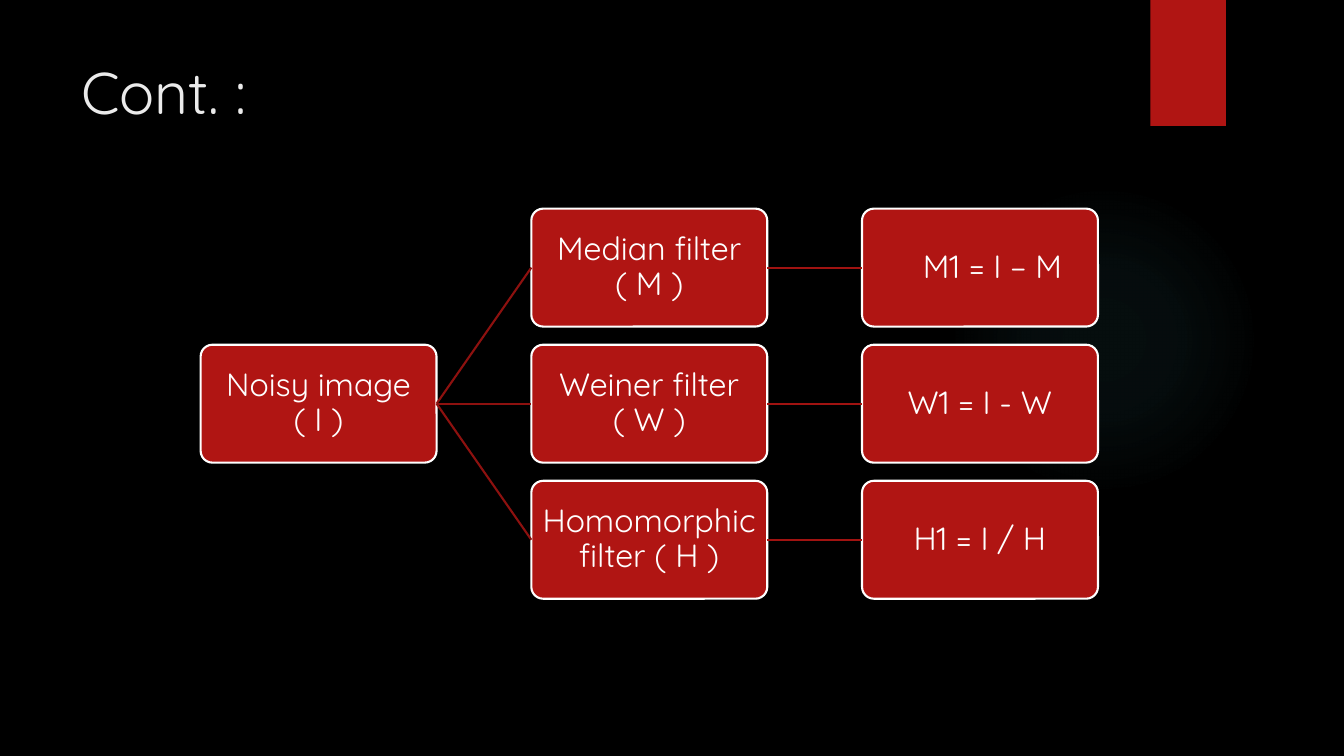
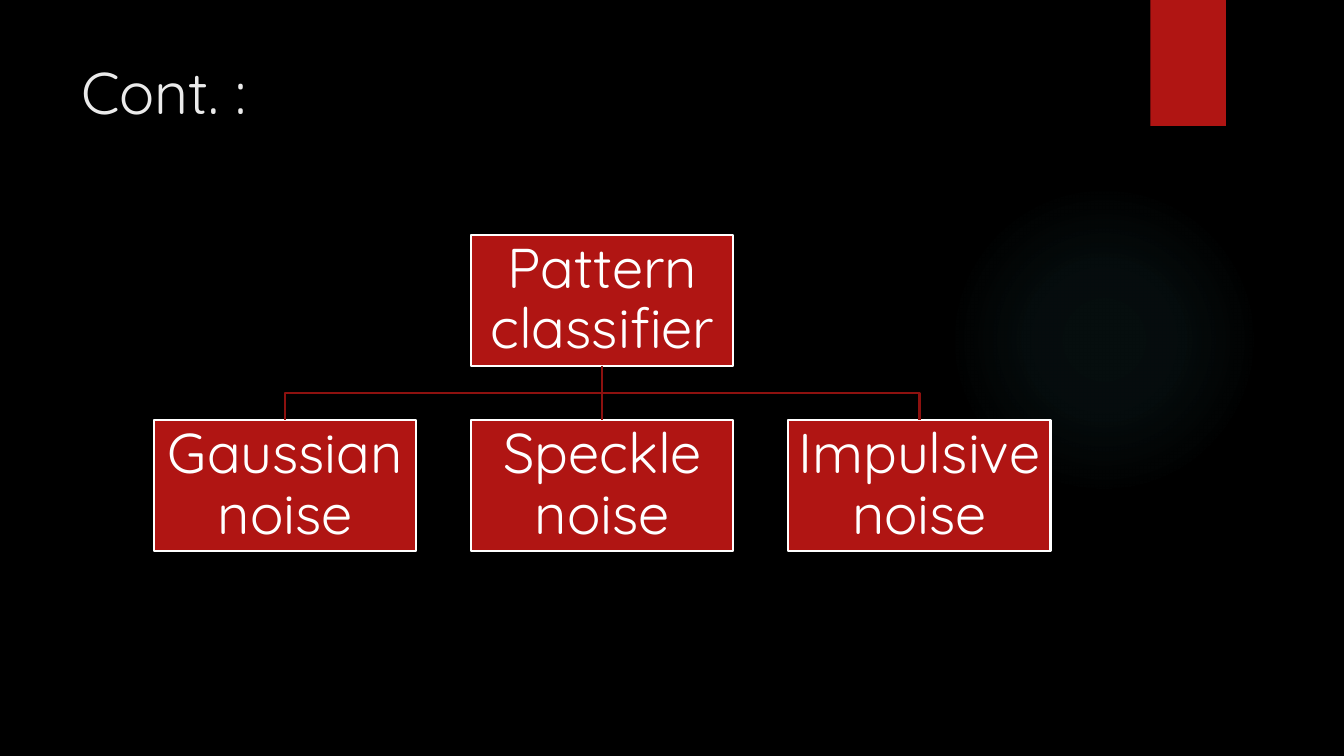
from lxml import etree
from pptx import Presentation
from pptx import util as u
from pptx.dml.color import RGBColor
from pptx.enum import shapes, text
from pptx.oxml import parse_xml
from pptx.oxml.ns import nsdecls, qn

BLACK = RGBColor(0x00, 0x00, 0x00)
RED = RGBColor(0xB0, 0x15, 0x13)
DARK_RED = RGBColor(0x8D, 0x11, 0x0F)
MID_RED = RGBColor(0xA0, 0x13, 0x11)
WHITE = RGBColor(0xFF, 0xFF, 0xFF)
TITLE_GREY = RGBColor(0xEB, 0xEB, 0xEB)
GLOW = RGBColor(0x50, 0xB9, 0xC1)
GLOW_STOPS = ((0, 7), (36, 6), (69, 0))
FONT = "Quicksand"
LINE_WIDTH = u.Pt(1.5)

FILTERS = (
    (("Median filter", 12, "( M )"), "M1 = I – M", 0.25),
    (("Weiner filter", 22, "( W )"), "W1 = I - W", 0),
    (("Homomorphic filter ( H )",), "H1 = I / H", 0),
)
NOISES = ("Gaussian noise", "Speckle noise", "Impulsive noise")


def add_run(paragraph, words, size, color, spacing=0):
    """Append one styled run, with optional letter spacing in points."""
    run = paragraph.add_run()
    run.text = words
    run.font.name = FONT
    run.font.size = u.Pt(size)
    run.font.color.rgb = color
    if spacing:
        run.font._element.set("spc", str(spacing * 100))


def add_plain_shape(slide, kind, left, top, width, height, color):
    """Add a filled preset shape without outline or shadow."""
    shape = slide.shapes.add_shape(
        kind, u.Inches(left), u.Inches(top), u.Inches(width), u.Inches(height))
    shape.shadow.inherit = False
    shape.fill.solid()
    shape.fill.fore_color.rgb = color
    shape.line.fill.background()
    return shape


def add_glow(slide, left, top, size):
    """Add the faint radial glow."""
    glow = add_plain_shape(slide, shapes.MSO_SHAPE.OVAL, left, top, size, size, GLOW)
    stops = "".join(
        f'<a:gs pos="{position * 1000}"><a:srgbClr val="{GLOW}">'
        f'<a:alpha val="{alpha * 1000}"/></a:srgbClr></a:gs>'
        for position, alpha in GLOW_STOPS)
    gradient = parse_xml(
        f'<a:gradFill {nsdecls("a")} rotWithShape="1"><a:gsLst>{stops}</a:gsLst>'
        '<a:path path="circle"><a:fillToRect l="50000" t="50000" r="50000" b="50000"/>'
        '</a:path></a:gradFill>')
    properties = glow._element.spPr
    properties.replace(properties.find(qn("a:solidFill")), gradient)


def add_base_slide(presentation, title):
    """Add a black slide with glow, ribbon and title."""
    slide = presentation.slides.add_slide(presentation.slide_layouts[6])
    slide.background.fill.solid()
    slide.background.fill.fore_color.rgb = BLACK
    add_glow(slide, 9.41, 1.83, 3.08)
    add_plain_shape(slide, shapes.MSO_SHAPE.RECTANGLE, 11.41, 0, 0.75, 1.25, RED)
    box = slide.shapes.add_textbox(
        u.Inches(0.71), u.Inches(0.5), u.Inches(10.29), u.Inches(1.53))
    box.text_frame.word_wrap = True
    add_run(box.text_frame.paragraphs[0], title, 42, TITLE_GREY)
    return slide


def add_node(slide, kind, left, top, width, height, label, size, inset, shift=0):
    """Add a red node; numbers in the label widen the space between its parts."""
    node = add_plain_shape(slide, kind, left, top, width, height, RED)
    node.line.color.rgb = WHITE
    node.line.width = LINE_WIDTH
    frame = node.text_frame
    frame.word_wrap = True
    frame.vertical_anchor = text.MSO_ANCHOR.MIDDLE
    frame.margin_left = u.Inches(inset + shift)
    frame.margin_right = frame.margin_top = frame.margin_bottom = u.Inches(inset)
    paragraph = frame.paragraphs[0]
    paragraph.alignment = text.PP_ALIGN.CENTER
    paragraph.line_spacing = 0.9
    for part in label:
        if isinstance(part, int):
            add_run(paragraph, " ", size, WHITE, part)
        else:
            add_run(paragraph, part, size, WHITE)
    return node


def join(slide, start, start_side, end, end_side, color):
    """Join two nodes with a straight connector."""
    connector = slide.shapes.add_connector(shapes.MSO_CONNECTOR.STRAIGHT, 0, 0, 0, 0)
    connector.begin_connect(start, start_side)
    connector.end_connect(end, end_side)
    connector.line.color.rgb = color
    connector.line.width = LINE_WIDTH
    etree.SubElement(connector._element.spPr, qn("a:effectLst"))


def add_branch(slide, parent, child):
    """Draw a right-angled branch from a parent's bottom to a child's top."""
    start_x = parent.left + parent.width // 2
    start_y = parent.top + parent.height
    end_x = child.left + child.width // 2
    middle_y = (start_y + child.top) // 2
    builder = slide.shapes.build_freeform(start_x, start_y)
    builder.add_line_segments(
        [(start_x, middle_y), (end_x, middle_y), (end_x, child.top)], close=False)
    branch = builder.convert_to_shape()
    branch.shadow.inherit = False
    branch.fill.background()
    branch.line.color.rgb = DARK_RED
    branch.line.width = LINE_WIDTH


def add_filter_tree(slide, left, top):
    """Draw the noisy image, its filters and their results in three columns."""
    width, height, column_step, row_step = 2.34, 1.17, 3.28, 1.35

    def place(column, row, label, shift=0):
        """Add the node of one grid cell."""
        node = add_node(
            slide, shapes.MSO_SHAPE.ROUNDED_RECTANGLE, left + column * column_step,
            top + row * row_step, width, height, label, 23, 0.06, shift)
        node.adjustments[0] = 0.1
        return node

    source = place(0, 1, ("Noisy image", 12, "( I )"))
    for row, (label, formula, shift) in enumerate(FILTERS):
        filter_node = place(1, row, label)
        result = place(2, row, (formula,), shift)
        join(slide, source, 3, filter_node, 1, DARK_RED)
        join(slide, filter_node, 3, result, 1, MID_RED)


def add_noise_hierarchy(slide, left, top):
    """Draw the classifier above its three kinds of noise."""
    width, height, column_step, row_step = 2.6, 1.3, 3.145, 1.84

    def place(column, row, label):
        """Add the node of one grid cell."""
        return add_node(
            slide, shapes.MSO_SHAPE.RECTANGLE, left + column * column_step,
            top + row * row_step, width, height, (label,), 40, 0.03)

    classifier = place(1, 0, "Pattern classifier")
    for column, noise in enumerate(NOISES):
        child = place(column, 1, noise)
        if column == 1:
            join(slide, classifier, 2, child, 0, DARK_RED)
        else:
            add_branch(slide, classifier, child)


def main():
    """Build and save the presentation."""
    presentation = Presentation()
    presentation.slide_width = u.Inches(13.33)
    presentation.slide_height = u.Inches(7.5)
    add_filter_tree(add_base_slide(presentation, "Cont. :"), 1.99, 2.07)
    add_noise_hierarchy(add_base_slide(presentation, "Cont. :"), 1.53, 2.33)
    presentation.save("out.pptx")


if __name__ == "__main__":
    main()
